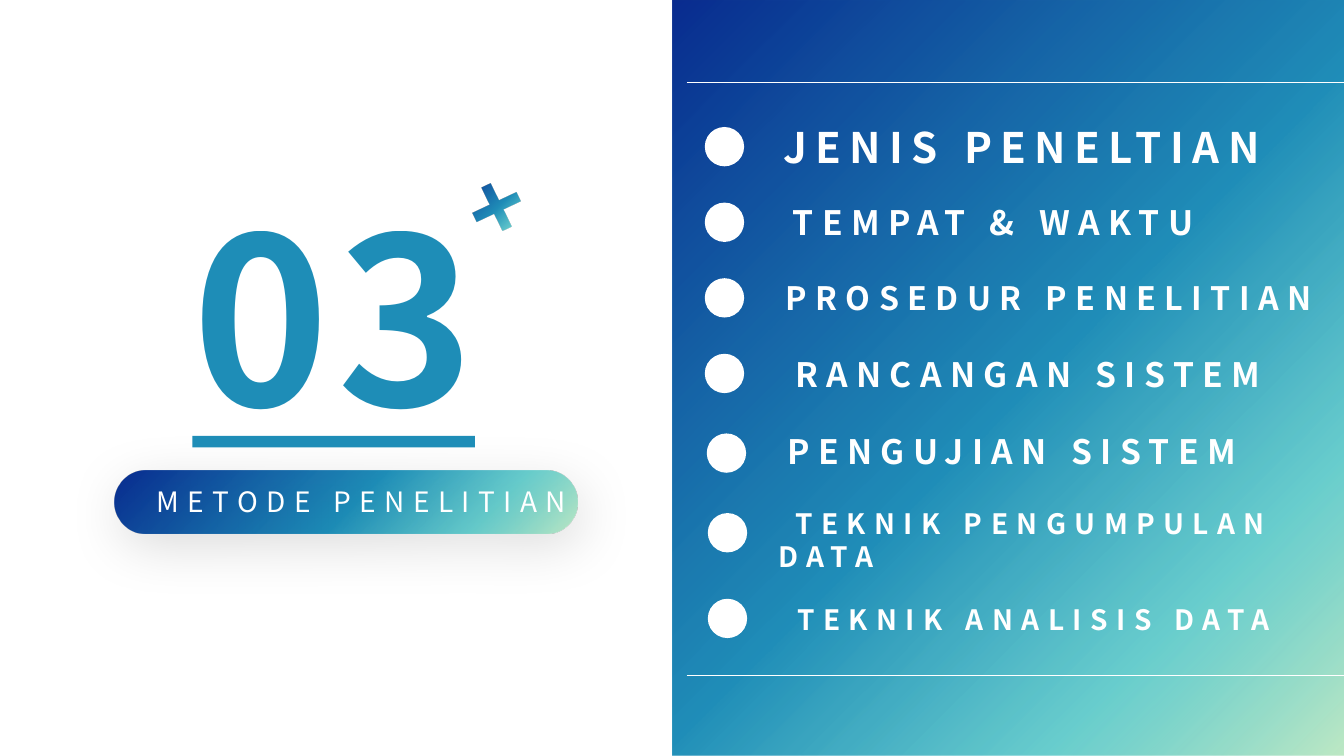
from lxml.etree import SubElement
from pptx import Presentation
from pptx.dml.color import RGBColor
from pptx.enum.shapes import MSO_CONNECTOR, MSO_SHAPE
from pptx.enum.text import MSO_AUTO_SIZE, PP_ALIGN
from pptx.oxml.ns import qn
from pptx.util import Inches, Pt

THEME = {
    "font": "Noto Sans CJK SC",
    "white": RGBColor(255, 255, 255),
    "fade": [(0, "00248B", 96), (52, "0681B0", 89),
             (79, "45C2C2", 80), (100, "BDE8C2", 96)],
    "gap": 6,
    "title": 20,
    "number": 166,
}

# lines, size, text box (left, top, width, height), dot (left, top)
TOPICS = [
    (["JENIS PENELTIAN"], 30, (7.65, 1.21, 4.97, 0.5), (6.99, 1.26)),
    (["TEMPAT & WAKTU"], 24, (7.66, 2, 4.38, 0.4), (6.99, 2.01)),
    (["PROSEDUR PENELITIAN"], 23, (7.67, 2.76, 5.47, 0.39), (6.99, 2.76)),
    (["RANCANGAN SISTEM"], 24, (7.67, 3.51, 5.05, 0.4), (6.99, 3.51)),
    (["PENGUJIAN SISTEM"], 24, (7.67, 4.28, 4.73, 0.4), (7.01, 4.3)),
    (["TEKNIK PENGUMPULAN ", "DATA"], 20, (7.72, 5.02, 5.14, 0.67), (7.02, 5.09)),
    (["TEKNIK ANALISIS DATA"], 20, (7.74, 5.98, 5.02, 0.34), (7.02, 5.94)),
]
TITLE = ("METODE PENELITIAN", (1.44, 4.81, 4.29, 0.34))
NUMBER = ("03", (1.79, 1.73, 3.04, 2.79))
PILL = (1.14, 4.67, 4.59, 0.62)
PANEL = (6.67, 0, 6.67, 7.5)
RULES = (0.82, 6.7)
RULE_ENDS = (6.81, 13.63)
DOT = 0.39
PLUS = {"left": 4.69, "top": 1.82, "size": 0.47, "arm": 0.1, "turn": 334.4}


def sub(parent, tag, **attrs):
    return SubElement(parent, qn(tag), {k: str(v) for k, v in attrs.items()})


def add_color(parent, code, alpha):
    color = sub(parent, "a:srgbClr", val=code)
    sub(color, "a:alpha", val=alpha * 1000)


def fade(fill, owner):
    """Fill with the theme colours, spreading from the top left corner."""
    fill.gradient()
    grad = owner.find(qn("a:gradFill"))
    for child in list(grad):
        grad.remove(child)
    grad.set("rotWithShape", "1")
    stops = sub(grad, "a:gsLst")
    for pos, code, alpha in THEME["fade"]:
        add_color(sub(stops, "a:gs", pos=pos * 1000), code, alpha)
    route = sub(grad, "a:path", path="circle")
    sub(route, "a:fillToRect", r=100000, b=100000)


def finish(shape, color=None):
    shape.shadow.inherit = False
    shape.line.fill.background()
    if color is None:
        fade(shape.fill, shape._element.spPr)
    else:
        shape.fill.solid()
        shape.fill.fore_color.rgb = color
    return shape


def add_shape(shapes, kind, box, color=None):
    return finish(shapes.add_shape(kind, *map(Inches, box)), color)


def add_text(shapes, lines, size, box, bold=True, faded=False):
    frame = shapes.add_textbox(*map(Inches, box)).text_frame
    frame.margin_left = frame.margin_right = 0
    frame.margin_top = frame.margin_bottom = 0
    frame.word_wrap = False
    frame.auto_size = MSO_AUTO_SIZE.SHAPE_TO_FIT_TEXT
    frame.text = "\n".join(lines)
    for i, para in enumerate(frame.paragraphs):
        para.alignment = PP_ALIGN.LEFT if i else PP_ALIGN.CENTER
        font = para.font
        font.name = THEME["font"]
        font.size = Pt(size)
        font.bold = bold
        props = para._p.pPr.find(qn("a:defRPr"))
        props.set("spc", str(THEME["gap"] * 100))
        if faded:
            font.underline = True
            fade(font.fill, props)
        else:
            font.color.rgb = THEME["white"]


def add_rule(shapes, y):
    start, end = map(Inches, RULE_ENDS)
    rule = shapes.add_connector(MSO_CONNECTOR.STRAIGHT, start, Inches(y), end, Inches(y))
    rule.line.color.rgb = THEME["white"]
    rule.line.width = Pt(0.5)
    sub(rule._element.spPr, "a:effectLst")


def add_plus(shapes):
    size, arm = PLUS["size"], PLUS["arm"]
    near, far = (size - arm) / 2, (size + arm) / 2
    corners = [(0, near), (near, near), (near, 0), (far, 0), (far, near), (size, near),
               (size, far), (far, far), (far, size), (near, size), (near, far), (0, far)]
    spots = [(Inches(PLUS["left"] + x), Inches(PLUS["top"] + y)) for x, y in corners]
    draft = shapes.build_freeform(*spots[0])
    draft.add_line_segments(spots[1:], close=True)
    finish(draft.convert_to_shape()).rotation = PLUS["turn"]


def add_pill(shapes):
    pill = add_shape(shapes, MSO_SHAPE.ROUNDED_RECTANGLE, PILL)
    pill.adjustments[0] = 0.5
    effects = pill._element.spPr.find(qn("a:effectLst"))
    shade = sub(effects, "a:outerShdw", blurRad=Pt(40), dist=Pt(10),
                dir=70 * 60000, algn="t", rotWithShape=0)
    add_color(shade, "000000", 15)


def main():
    deck = Presentation()
    deck.slide_width, deck.slide_height = Inches(13.33), Inches(7.5)
    shapes = deck.slides.add_slide(deck.slide_layouts[6]).shapes

    add_pill(shapes)
    title, box = TITLE
    add_text(shapes, [title], THEME["title"], box, bold=False)
    number, box = NUMBER
    add_text(shapes, [number], THEME["number"], box, faded=True)
    add_shape(shapes, MSO_SHAPE.RECTANGLE, PANEL)
    for y in RULES:
        add_rule(shapes, y)
    add_plus(shapes)
    for lines, size, box, dot in TOPICS:
        add_text(shapes, lines, size, box)
        add_shape(shapes, MSO_SHAPE.OVAL, (*dot, DOT, DOT), THEME["white"])

    deck.save("out.pptx")


if __name__ == "__main__":
    main()
